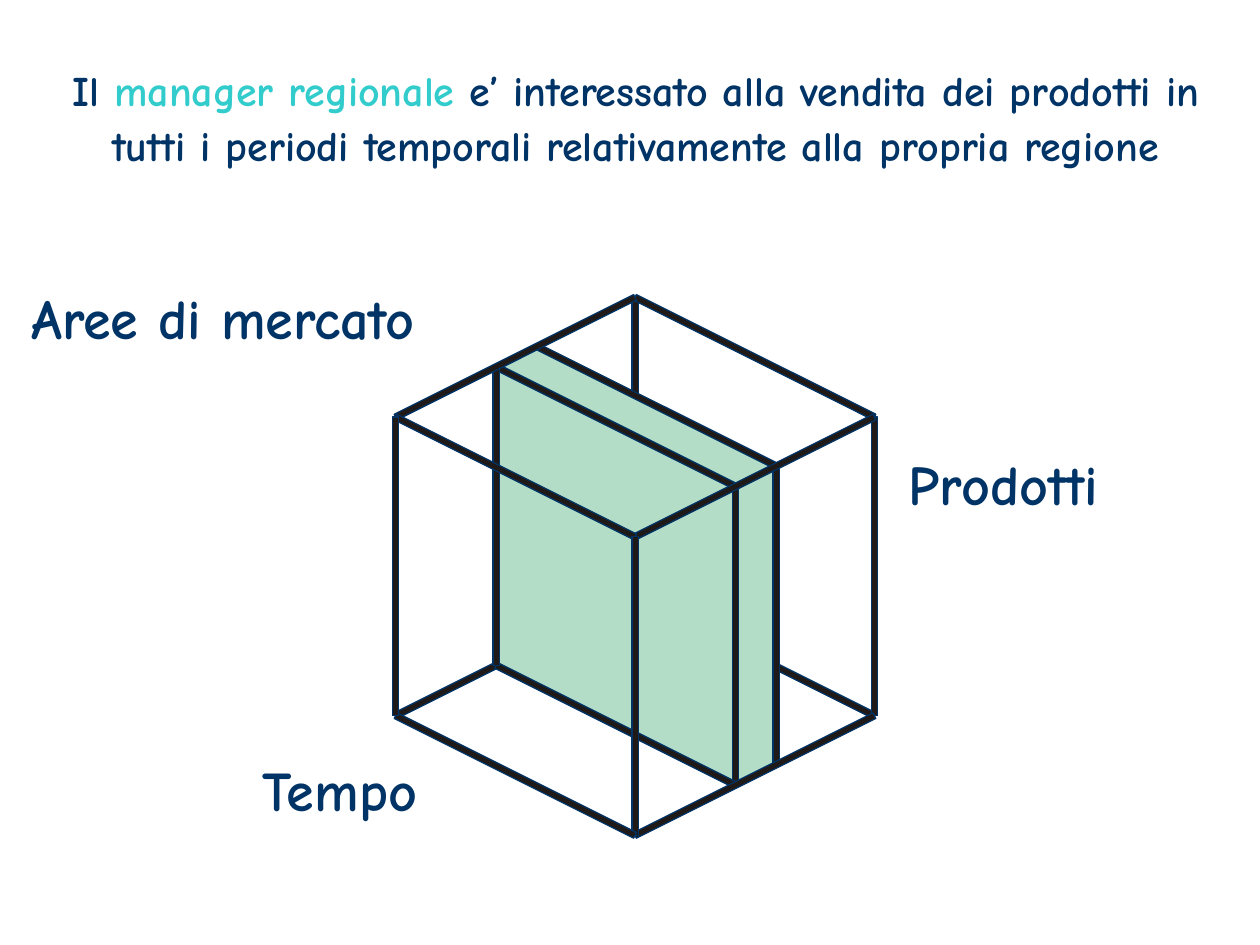
import math

from pptx import Presentation, util as u
from pptx.dml.color import RGBColor
from pptx.enum import text as t

NAVY, TURQUOISE, GREEN, BLACK = "003366", "33CCCC", "B4DDC7", "1F1A17"
FONT = "Comic Neue"

# Content: runs as (words, colour)
HEADING = [
    ("Il ", NAVY),
    ("manager regionale", TURQUOISE),
    (" e’ interessato alla vendita dei prodotti in tutti i periodi temporali "
     "relativamente alla propria regione", NAVY),
]
AXIS_LABELS = [  # words, left, top, width, wrap
    ("Tempo", 2.08, 6, 1.38, False),
    ("Prodotti", 7.21, 3.57, 1.72, False),
    ("Aree di mercato", 0.25, 2.25, 3.65, True),
]

# Cube: rear top corner, then one step along each axis (market, product, time)
CORNER = (5.04, 2.36)
AXES = [(-1.9, 0.95), (1.9, 0.95), (0, 2.37)]
EDGE_WIDTH = 0.05
REAR, FRONT = 0.41, 0.58  # the region's slice along the market axis


def market_face(m):
    return [(m, 0, 0), (m, 1, 0), (m, 1, 1), (m, 0, 1)]


def outline(face):
    return list(zip(face, face[1:] + face[:1]))


HIDDEN_EDGES = [
    ((0, 1, 1), (0, 0, 1)),
    ((0, 0, 1), (1, 0, 1)),
    ((0, 0, 0), (0, 0, 1)),
]
SLICE_FACES = [
    market_face(FRONT),
    [(FRONT, 0, 0), (REAR, 0, 0), (REAR, 1, 0), (FRONT, 1, 0)],
    [(FRONT, 1, 0), (REAR, 1, 0), (REAR, 1, 1), (FRONT, 1, 1)],
]
# The first two outline edges of a market face are its top and right ones
SLICE_EDGES = outline(market_face(REAR))[:2] + outline(market_face(FRONT))
CUBE_EDGES = (
    outline(market_face(0))[:2]
    + [((0, p, h), (1, p, h)) for p, h in [(0, 0), (1, 0), (1, 1)]]
    + outline(market_face(1))
)


def rgb(value):
    return RGBColor.from_string(value)


def project(point):
    return tuple(CORNER[i] + sum(step * axis[i] for step, axis in zip(point, AXES))
                 for i in (0, 1))


def add_polygon(slide, points, fill):
    corners = [(u.Inches(x), u.Inches(y)) for x, y in points]
    builder = slide.shapes.build_freeform(*corners[0])
    builder.add_line_segments(corners[1:], close=True)
    polygon = builder.convert_to_shape()
    polygon.shadow.inherit = False
    polygon.fill.solid()
    polygon.fill.fore_color.rgb = rgb(fill)
    polygon.line.color.rgb = rgb(NAVY)
    polygon.line.width = u.Pt(0.75)


def add_edge(slide, start, end):
    (x1, y1), (x2, y2) = project(start), project(end)
    ratio = EDGE_WIDTH / 2 / math.hypot(x2 - x1, y2 - y1)
    dx, dy = (y1 - y2) * ratio, (x2 - x1) * ratio
    add_polygon(slide, [(x1 + dx, y1 + dy), (x2 + dx, y2 + dy),
                        (x2 - dx, y2 - dy), (x1 - dx, y1 - dy)], BLACK)


def add_label(slide, box, runs, size, wrap=True, **paragraph_format):
    frame = slide.shapes.add_textbox(*map(u.Inches, box)).text_frame
    frame_format = dict(margin_left=0, margin_top=0, margin_right=0, margin_bottom=0,
                        word_wrap=wrap, auto_size=t.MSO_AUTO_SIZE.SHAPE_TO_FIT_TEXT)
    for key, value in frame_format.items():
        setattr(frame, key, value)
    paragraph = frame.paragraphs[0]
    for key, value in paragraph_format.items():
        setattr(paragraph, key, value)
    for words, colour in runs:
        run = paragraph.add_run()
        run.text = words
        for key, value in dict(name=FONT, size=u.Pt(size), bold=True).items():
            setattr(run.font, key, value)
        run.font.color.rgb = rgb(colour)


def main():
    deck = Presentation()
    deck.slide_width, deck.slide_height = u.Inches(10), u.Inches(7.5)
    slide = deck.slides.add_slide(deck.slide_layouts[6])

    # Heading
    add_label(slide, (0.42, 0.47, 9.25, 1.32), HEADING, 24,
              alignment=t.PP_ALIGN.CENTER, line_spacing=1.1)

    # Cube from back to front, with the slice inside
    for edge in HIDDEN_EDGES:
        add_edge(slide, *edge)
    for face in SLICE_FACES:
        add_polygon(slide, [project(point) for point in face], GREEN)
    for edge in SLICE_EDGES + CUBE_EDGES:
        add_edge(slide, *edge)

    # Axis labels
    for words, left, top, width, wrap in AXIS_LABELS:
        add_label(slide, (left, top, width, 0.53), [(words, NAVY)], 32, wrap)

    deck.save("out.pptx")


if __name__ == "__main__":
    main()
